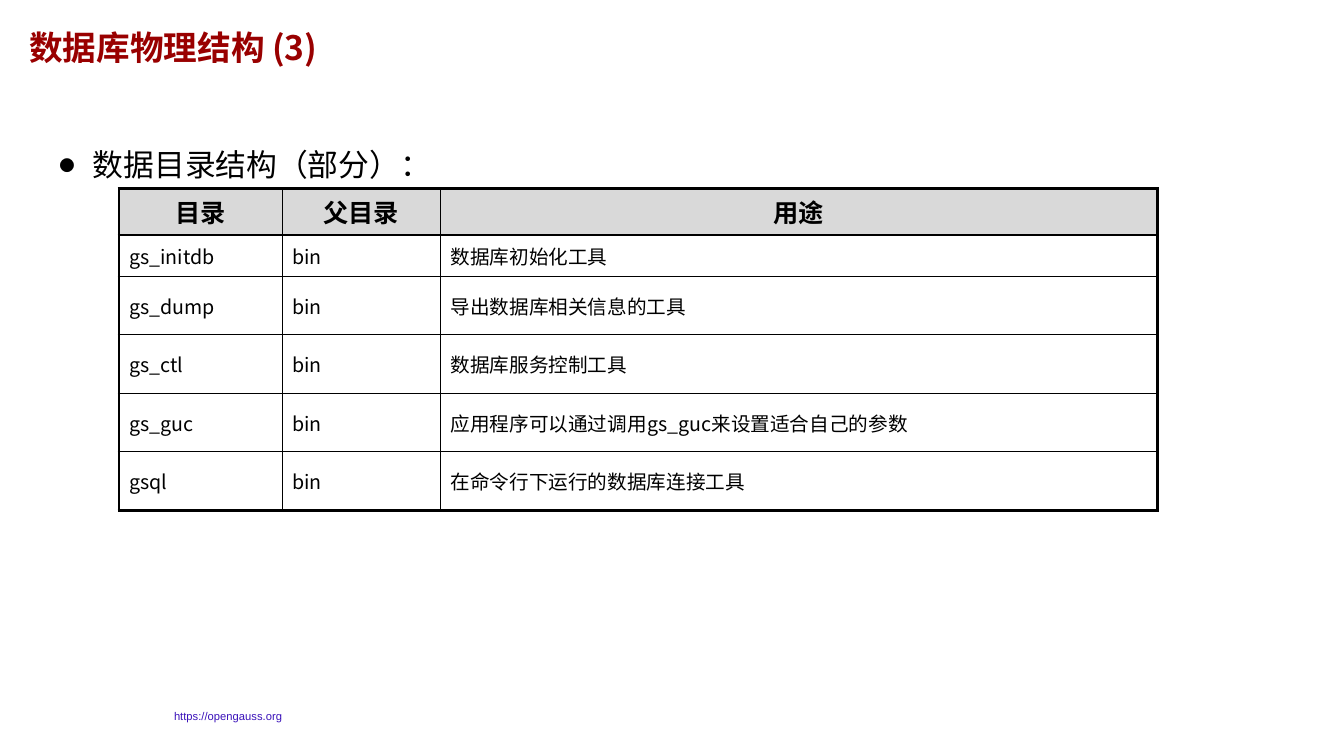
from pptx import Presentation
from pptx.dml.color import RGBColor
from pptx.enum.text import MSO_ANCHOR, MSO_AUTO_SIZE, PP_ALIGN
from pptx.oxml.ns import qn
from pptx.util import Pt
from lxml import etree

TOP, MID = MSO_ANCHOR.TOP, MSO_ANCHOR.MIDDLE
LEFT, CENTER, JUST = PP_ALIGN.LEFT, PP_ALIGN.CENTER, PP_ALIGN.JUSTIFY
FIXED = MSO_AUTO_SIZE.NONE

# Content
TITLE = "数据库物理结构 (3)"
LEAD = "数据目录结构（部分）："
SITE = "https://opengauss.org"
HEAD = ("目录", "父目录", "用途")
TOOLS = [
    ("gs_initdb", "数据库初始化工具"),
    ("gs_dump", "导出数据库相关信息的工具"),
    ("gs_ctl", "数据库服务控制工具"),
    ("gs_guc", "应用程序可以通过调用gs_guc来设置适合自己的参数"),
    ("gsql", "在命令行下运行的数据库连接工具"),
]
ROWS = [HEAD] + [(tool, "bin", use) for tool, use in TOOLS]


class Theme:
    main, web = "Noto Sans CJK SC", "Arial"
    ink, red, link, gray = "000000", "990000", "3A11BA", "D9D9D9"
    title, lead, head, cell, foot = 24, 22, 18, 14, 8
    outer, inner = 2.25, 1


# Geometry in points
COLS = (116.6, 113, 512)
HIGH = [26, 29.5] + [41.8] * 4
X, Y = 85, 134.6


def add_run(para, text, size, color=Theme.ink, face=Theme.main, bold=False):
    run = para.add_run()
    run.text = text
    font = run.font
    font.size, font.bold, font.name = Pt(size), bold, face
    font.color.rgb = RGBColor.from_string(color)
    east = etree.Element(qn("a:ea"), typeface=face)
    font._element.find(qn("a:latin")).addnext(east)


def place(shape, left, top, width, height):
    shape.left, shape.top = Pt(left), Pt(top)
    shape.width, shape.height = Pt(width), Pt(height)
    frame = shape.text_frame
    frame.word_wrap, frame.auto_size = True, FIXED
    frame.vertical_anchor = TOP
    return frame


def edge(cell, sides):
    props = cell._tc.get_or_add_tcPr()
    for spot, (side, width) in enumerate(sides.items()):
        line = etree.Element(qn("a:ln" + side), w=str(Pt(width)))
        fill = etree.SubElement(line, qn("a:solidFill"))
        etree.SubElement(fill, qn("a:srgbClr"), val=Theme.ink)
        props.insert(spot, line)


def add_grid(slide):
    rows, cols = len(ROWS), len(COLS)
    frame = slide.shapes.add_table(rows, cols, Pt(X), Pt(Y),
                                   Pt(sum(COLS)), Pt(sum(HIGH)))
    table = frame.table
    table.horz_banding = False
    for col, width in zip(table.columns, COLS):
        col.width = Pt(width)
    for row, high in zip(table.rows, HIGH):
        row.height = Pt(high)
    for r, texts in enumerate(ROWS):
        top = r == 0
        for c, text in enumerate(texts):
            cell = table.cell(r, c)
            cell.vertical_anchor = MID
            if top:
                cell.fill.solid()
                cell.fill.fore_color.rgb = RGBColor.from_string(Theme.gray)
            else:
                cell.fill.background()
            rims = {"L": c == 0, "R": c == cols - 1,
                    "T": top, "B": r == rows - 1}
            edge(cell, {side: Theme.outer if rim else Theme.inner
                        for side, rim in rims.items()})
            para = cell.text_frame.paragraphs[0]
            para.alignment = CENTER if top else LEFT
            add_run(para, text, Theme.head if top else Theme.cell, bold=top)


def main():
    deck = Presentation()
    deck.slide_width, deck.slide_height = Pt(960), Pt(540)
    slide = deck.slides.add_slide(deck.slide_layouts[1])

    # Title
    frame = place(slide.shapes.title, 21, 22.3, 845, 34.6)
    frame.margin_left = frame.margin_right = 0
    frame.margin_top = frame.margin_bottom = 0
    para = frame.paragraphs[0]
    para.alignment, para.line_spacing = LEFT, 0.9
    add_run(para, TITLE, Theme.title, Theme.red, bold=True)

    # Bulleted lead
    frame = place(slide.placeholders[1], 36, 90.7, 889, 376.6)
    frame.margin_left = frame.margin_right = Pt(6.5)
    frame.margin_top = frame.margin_bottom = Pt(3)
    para = frame.paragraphs[0]
    props = para._p.get_or_add_pPr()
    props.set("marL", str(Pt(23.8)))
    props.set("indent", str(-Pt(23.8)))
    etree.SubElement(props, qn("a:buSzPct"), val="50000")
    etree.SubElement(props, qn("a:buFont"), typeface=Theme.main)
    etree.SubElement(props, qn("a:buChar"), char="●")
    para.alignment, para.line_spacing = JUST, 1.4
    para.space_before = Pt(0)
    add_run(para, LEAD, Theme.lead)

    # Tool table
    add_grid(slide)

    # Web address
    box = slide.shapes.add_textbox(0, 0, 0, 0)
    frame = place(box, 117.2, 503.3, 171, 28.8)
    add_run(frame.paragraphs[0], SITE, Theme.foot, Theme.link, Theme.web)

    deck.save("out.pptx")


if __name__ == "__main__":
    main()
